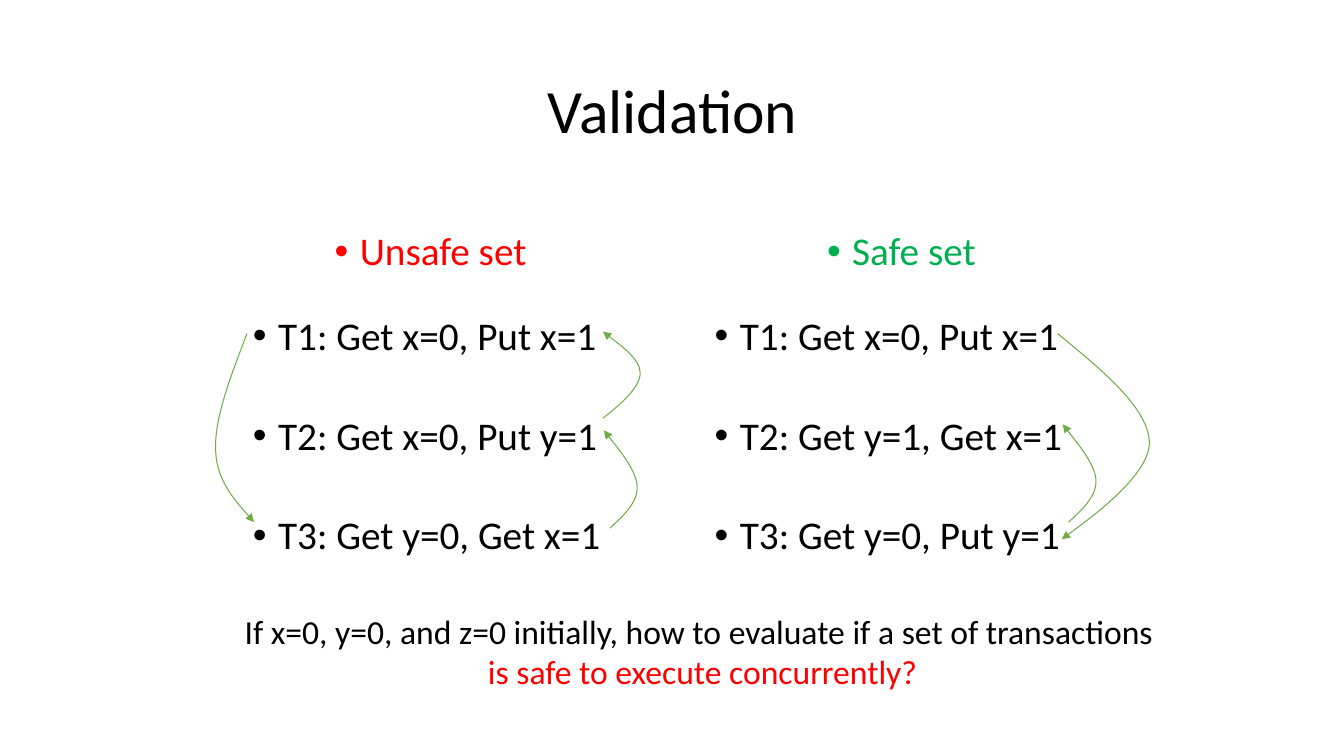
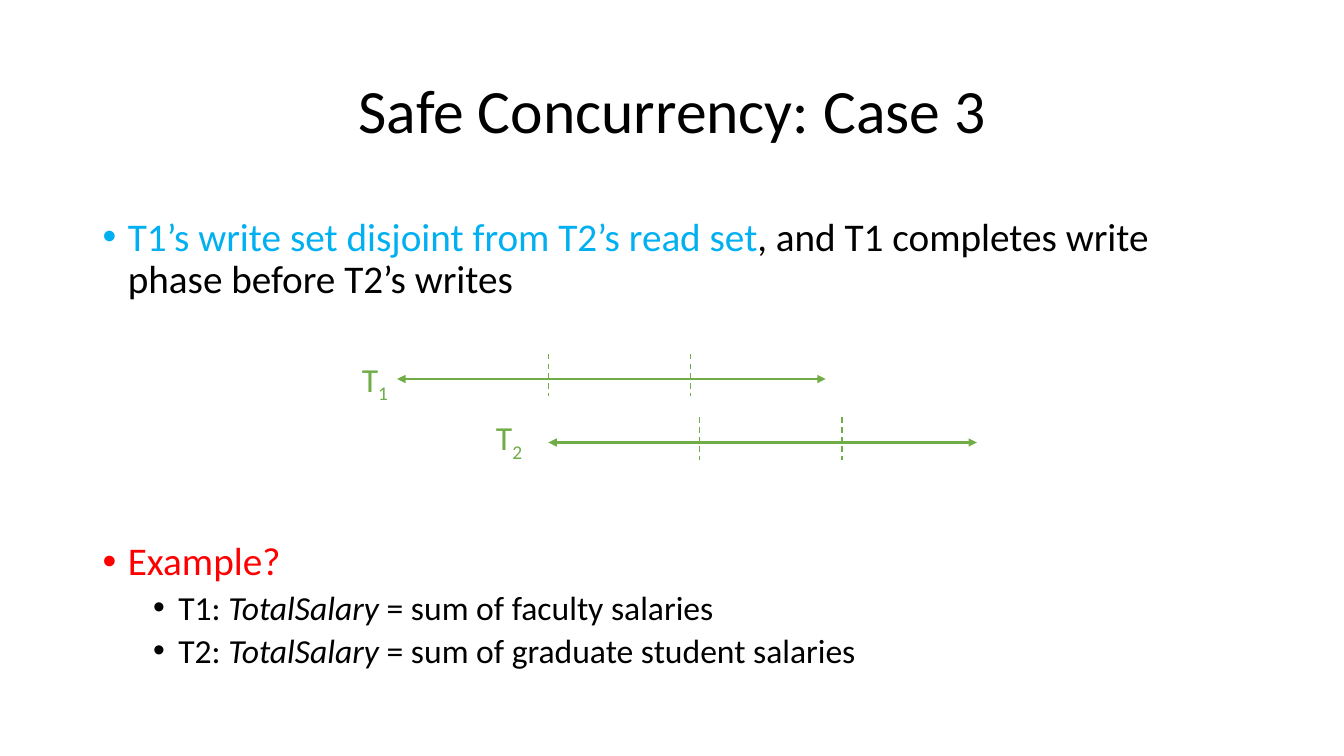
from lxml import etree
from pptx import Presentation
from pptx.dml.color import RGBColor
from pptx.enum import dml, shapes, text
from pptx.oxml.ns import qn
from pptx.util import Emu, Pt

PX = 9144
FONT = "Calibri"
BLACK, RED, GREEN, BLUE, LEAF = "000000", "FF0000", "00B050", "00B0F0", "70AD47"
CENTER = text.PP_ALIGN.CENTER
HOP = [(14, -13), (28, -26), (27, -42), (26, -58), (-6, -97)]


def px(length):
    """Turn pixels into EMU."""
    return Emu(length * PX)


def rgb(value):
    """Turn a hex string into a colour."""
    return RGBColor.from_string(value)


def add_frame(slide, left, top, width, height, wrap=True, anchor=text.MSO_ANCHOR.TOP):
    """Add a text box and return its text frame."""
    frame = slide.shapes.add_textbox(px(left), px(top), px(width), px(height)).text_frame
    frame.word_wrap = wrap
    frame.vertical_anchor = anchor
    return frame


def write(paragraph, words, size=28, color=BLACK, italic=False, baseline=0):
    """Append a formatted run to a paragraph."""
    run = paragraph.add_run()
    run.text = words
    run.font.name = FONT
    run.font.size = Pt(size)
    run.font.italic = italic
    run.font.color.rgb = rgb(color)
    if baseline:
        run.font._element.set("baseline", str(baseline * 1000))


def add_paragraph(frame, align=None, spacing=None, before=0):
    """Return the next free paragraph of a frame."""
    first = frame.paragraphs[0]
    paragraph = frame.add_paragraph() if first.runs else first
    paragraph.alignment = align
    paragraph.line_spacing = spacing
    paragraph.space_before = Pt(before)
    return paragraph


def add_bullet(frame, level=0, before=0, align=None):
    """Return the next paragraph with a bullet and hanging indent."""
    paragraph = add_paragraph(frame, align, 0.9, before)
    paragraph.level = level
    properties = paragraph._p.get_or_add_pPr()
    properties.set("marL", str(px(25 + 50 * level)))
    properties.set("indent", str(px(-25)))
    etree.SubElement(properties, qn("a:buFont"), typeface="Arial")
    etree.SubElement(properties, qn("a:buChar"), char="•")
    return paragraph


def add_title(slide, words):
    """Add the centred slide title."""
    frame = add_frame(slide, 92, 40, 1150, 145, anchor=text.MSO_ANCHOR.MIDDLE)
    write(add_paragraph(frame, CENTER, 0.9), words, size=44)


def style_line(line, width, dashed=False, ends=()):
    """Format an outline and put arrowheads on the given ends."""
    line.color.rgb = rgb(LEAF)
    line.width = Pt(width)
    if dashed:
        line.dash_style = dml.MSO_LINE.DASH
    for end in ends:
        etree.SubElement(line._get_or_add_ln(), qn(f"a:{end}"), type="triangle")


def add_line(slide, x1, y1, x2, y2, **style):
    """Add a straight line without a shadow."""
    line = slide.shapes.add_connector(
        shapes.MSO_CONNECTOR.STRAIGHT, px(x1), px(y1), px(x2), px(y2))
    style_line(line.line, **style)
    etree.SubElement(line._element.spPr, qn("a:effectLst"))


def add_curve(slide, start, steps):
    """Add a curved arrow whose points are offsets from its start."""
    x, y = start
    points = [(x + dx, y + dy) for dx, dy in steps + steps[-1:]]
    builder = slide.shapes.build_freeform(x, y, scale=PX)
    builder.add_line_segments(points, close=False)
    curve = builder.convert_to_shape()
    curve.shadow.inherit = False
    curve.fill.background()
    style_line(curve.line, 0.75, ends=["tailEnd"])
    outline = curve._element.find(".//" + qn("a:path"))
    corners = outline.findall(qn("a:lnTo"))
    for first in range(0, len(corners), 3):
        bend = etree.SubElement(outline, qn("a:cubicBezTo"))
        for corner in corners[first:first + 3]:
            bend.append(corner[0])
            outline.remove(corner)


def add_transaction_set(slide, heading, color, heading_left, list_left, transactions):
    """Add a coloured heading above a list of transactions."""
    header = add_frame(slide, heading_left, 225, 442, 70)
    write(add_bullet(header, align=CENTER), heading, color=color)
    listing = add_frame(slide, list_left, 309, 442, 259)
    for index, transaction in enumerate(transactions):
        write(add_bullet(listing, before=41 if index else 0), transaction)


def add_timeline(slide, number, left, y, label_left, label_top):
    """Add a labelled time span divided into three phases."""
    add_line(slide, left, y, left + 425, y, width=2, ends=["headEnd", "tailEnd"])
    for offset in (150, 291):
        add_line(slide, left + offset, y - 25, left + offset, y + 17, width=1, dashed=True)
    label = add_paragraph(add_frame(slide, label_left, label_top, 53, 50, wrap=False))
    write(label, "T", size=24, color=LEAF)
    write(label, number, size=24, color=LEAF, baseline=-25)


def build_validation(slide):
    """Build the comparison of unsafe and safe sets."""
    add_title(slide, "Validation")
    add_transaction_set(slide, "Unsafe set", RED, 206, 241, [
        "T1: Get x=0, Put x=1", "T2: Get x=0, Put y=1", "T3: Get y=0, Get x=1"])
    add_transaction_set(slide, "Safe set", GREEN, 673, 699, [
        "T1: Get x=0, Put x=1", "T2: Get y=1, Get x=1", "T3: Get y=0, Put y=1"])
    question = add_frame(slide, 232, 601, 922, 91, wrap=False)
    write(add_paragraph(question, CENTER),
          "If x=0, y=0, and z=0 initially, how to evaluate if a set of transactions", size=24)
    write(add_paragraph(question, CENTER),
          " is safe to execute concurrently?", size=24, color=RED)
    add_curve(slide, (1049, 331), [(45, 37), (90, 74), (91, 108), (91, 142), (4, 204)])
    add_curve(slide, (245, 331), [(-16, 42), (-33, 85), (-31, 117), (-30, 148), (7, 187)])
    add_curve(slide, (598, 415), [(19, -15), (37, -31), (37, -45), (37, -59), (0, -86)])
    for start in ((605, 524), (1060, 518)):
        add_curve(slide, start, HOP)


def build_case(slide):
    """Build the third case of safe concurrency."""
    add_title(slide, "Safe Concurrency: Case 3")
    body = add_frame(slide, 92, 211, 1150, 476)
    rule = add_bullet(body)
    write(rule, "T1’s write set disjoint from T2’s read set", color=BLUE)
    write(rule, ", and T1 completes write phase before T2’s writes")
    write(add_bullet(body, before=171), "Example?", color=RED)
    for name, total in (("T1: ", " = sum of faculty salaries"),
                        ("T2: ", " = sum of graduate student salaries")):
        example = add_bullet(body, level=1, before=5)
        write(example, name, size=24)
        write(example, "TotalSalary", size=24, italic=True)
        write(example, total, size=24)
    add_timeline(slide, "1", 394, 376, 349, 351)
    add_timeline(slide, "2", 544, 439, 482, 409)


def main():
    """Build and save the presentation."""
    deck = Presentation()
    deck.slide_width, deck.slide_height = px(1333), px(750)
    for build in (build_validation, build_case):
        build(deck.slides.add_slide(deck.slide_layouts[6]))
    deck.save("out.pptx")


if __name__ == "__main__":
    main()
